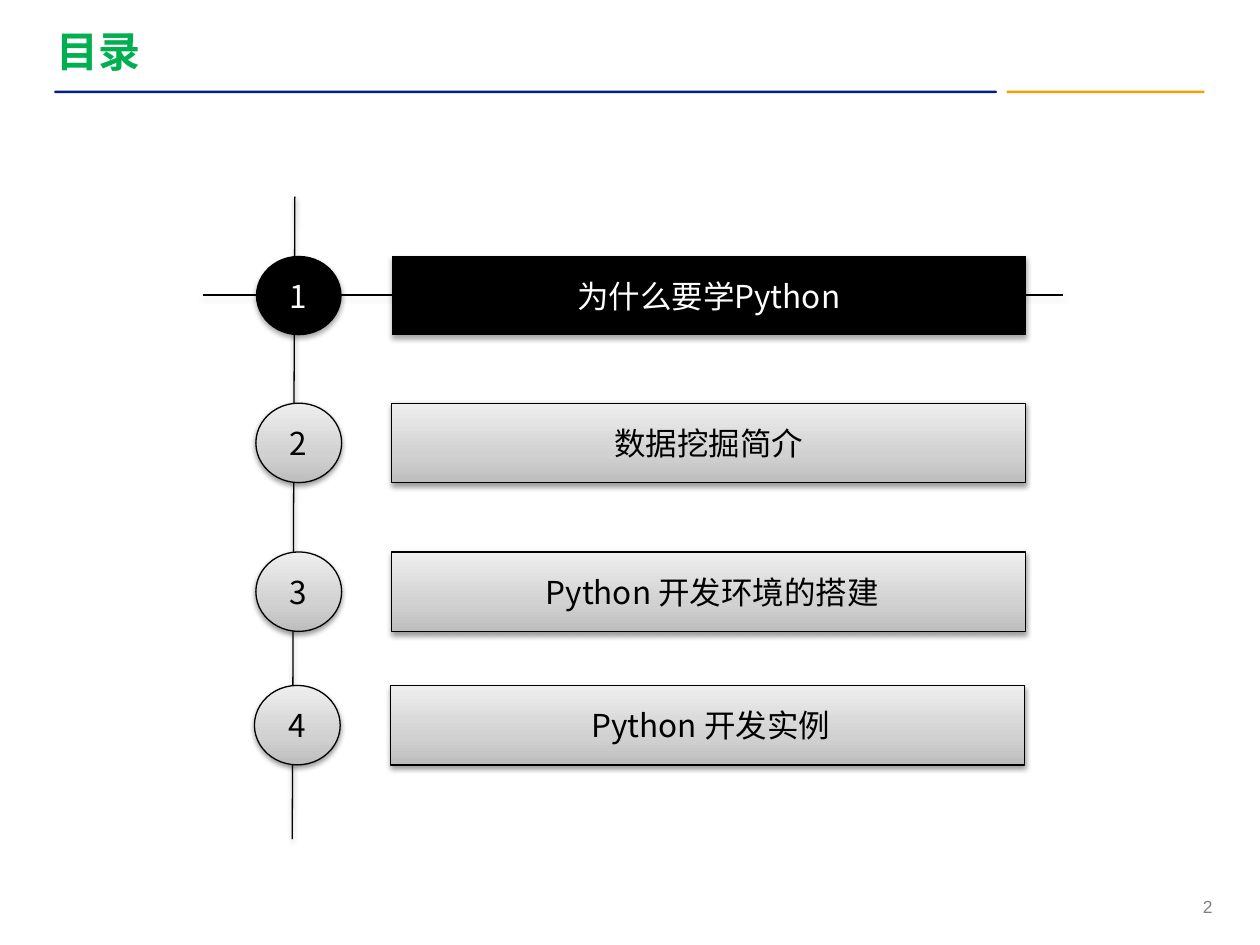
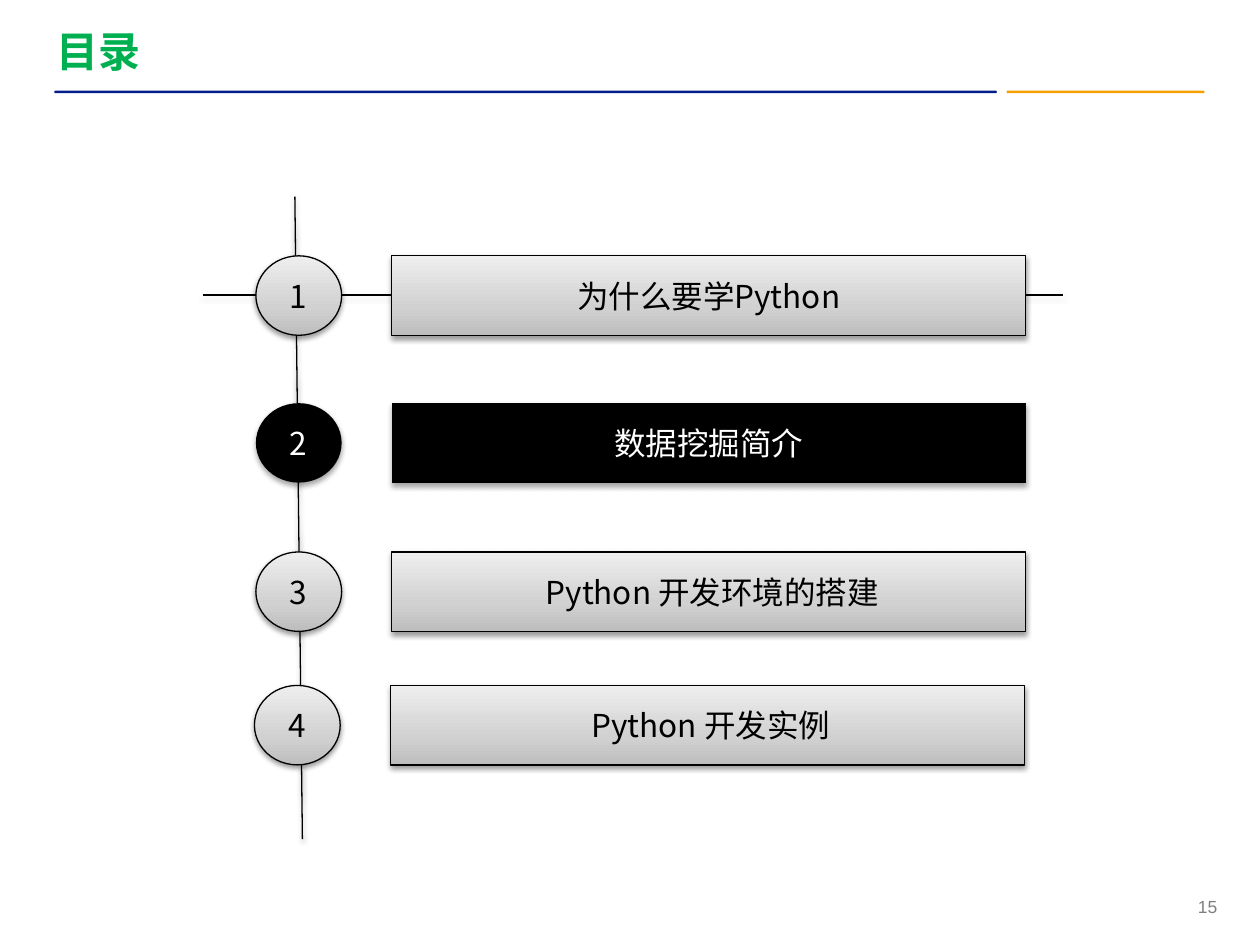
import copy

import pptx
import pptx.dml.color
import pptx.enum.shapes
import pptx.enum.text
import pptx.oxml
import pptx.oxml.ns
import pptx.util
from lxml import etree

Pt = pptx.util.Pt
SHAPES = pptx.enum.shapes.MSO_SHAPE
ALIGN = pptx.enum.text.PP_ALIGN
MIDDLE = pptx.enum.text.MSO_ANCHOR.MIDDLE
qn = pptx.oxml.ns.qn

TITLE = "目录"
CHAPTERS = [
    {"label": "为什么要学Python", "top": 146.2, "shift": 0},
    {"label": "数据挖掘简介", "top": 230.4, "shift": 0},
    {"label": " Python 开发环境的搭建", "top": 315.4, "shift": 0},
    {"label": " Python 开发实例", "top": 391.7, "shift": -0.8},
]
AGENDAS = [
    {"page": " 2", "current": 1, "spine_end": 167},
    {"page": " 15", "current": 2, "spine_end": 172.8},
]
RULES = [(575.3, 113, "F5A000", 0.36), (31, 538.6, "031D89", 0.5)]
RULE_TOP, RULE_HEIGHT = 51.8, 1.44
BADGE_LEFT, BADGE_WIDTH = 146.2, 49
BAR_LEFT, BAR_WIDTH = 223.9, 362.2
ROW_HEIGHT = 45.4
SPINE_X, SPINE_TOP, SPINE_BOTTOM = 168.5, 112.4, 479.5
CROSS_LEFT, CROSS_RIGHT, CROSS_Y = 116, 607.6, 168.5

BLACK, WHITE, GREEN, GREY = "000000", "FFFFFF", "00B050", "7F7F7F"
SILVER = [(0, "BDBDBD"), (0.35, "D1D1D1"), (1, "EEEEEE")]
CJK = "Noto Sans CJK SC"


def rgb(value):
    """Turn a hex string into a colour."""
    return pptx.dml.color.RGBColor.from_string(value)


def write(frame, text, size, color, latin, align, bold=False):
    """Set and format the only paragraph of a text frame."""
    frame.text = text
    paragraph = frame.paragraphs[0]
    paragraph.alignment = align
    for run in paragraph.runs:
        font = run.font
        font.size, font.bold, font.name = Pt(size), bold, latin
        font.color.rgb = rgb(color)
        east_asian = etree.SubElement(run._r.get_or_add_rPr(), qn("a:ea"))
        east_asian.set("typeface", CJK)


def cast_shadow(part, alpha=38, distance=1.6):
    """Give a shape or connector a soft shadow straight below it."""
    effects = etree.SubElement(part._element.spPr, qn("a:effectLst"))
    shadow = etree.SubElement(
        effects, qn("a:outerShdw"), blurRad=str(Pt(3.1)), dist=str(Pt(distance)),
        dir="5400000", rotWithShape="0")
    color = etree.SubElement(shadow, qn("a:srgbClr"), val=BLACK)
    etree.SubElement(color, qn("a:alpha"), val=str(alpha * 1000))


def fill_silver(shape):
    """Fill a shape with the vertical silver gradient."""
    shape.fill.gradient()
    shape.fill.gradient_angle = 90
    stops = shape._element.spPr.find(".//" + qn("a:gsLst"))
    stops.append(copy.deepcopy(stops[0]))
    for stop, (position, color) in zip(shape.fill.gradient_stops, SILVER):
        stop.position = position
        stop.color.rgb = rgb(color)


def add_axis(slide, x1, y1, x2, y2):
    """Draw one thin black line of the cross behind the chapters."""
    axis = slide.shapes.add_connector(
        pptx.enum.shapes.MSO_CONNECTOR.STRAIGHT, Pt(x1), Pt(y1), Pt(x2), Pt(y2))
    axis.line.color.rgb = rgb(BLACK)
    axis.line.width = Pt(0.75)
    cast_shadow(axis)


def add_button(slide, kind, left, top, width, text, is_current):
    """Add a badge or bar, black when its chapter is current."""
    button = slide.shapes.add_shape(kind, Pt(left), Pt(top), Pt(width), Pt(ROW_HEIGHT))
    if is_current:
        button.fill.solid()
        button.fill.fore_color.rgb = rgb(BLACK)
        button.line.fill.background()
        cast_shadow(button, 35, 1.8)
    else:
        fill_silver(button)
        button.line.color.rgb = rgb(BLACK)
        button.line.width = Pt(0.75)
        cast_shadow(button)
    frame = button.text_frame
    frame.word_wrap = False
    frame.vertical_anchor = MIDDLE
    write(frame, text, 18, WHITE if is_current else BLACK, CJK, ALIGN.CENTER)


def add_frame(slide, page):
    """Add the title, the two header rules and the page number."""
    for left, width, color, rounding in RULES:
        rule = slide.shapes.add_shape(
            SHAPES.ROUNDED_RECTANGLE, Pt(left), Pt(RULE_TOP), Pt(width), Pt(RULE_HEIGHT))
        rule.adjustments[0] = rounding
        rule.fill.solid()
        rule.fill.fore_color.rgb = rgb(color)
        rule.line.fill.background()
        rule.shadow.inherit = False
    number = slide.shapes.add_textbox(Pt(671.8), Pt(508.3), Pt(33.8), Pt(18))
    number.text_frame.word_wrap = True
    write(number.text_frame, page, 10, GREY, "Arial", ALIGN.CENTER)
    title = slide.shapes.title
    title.left, title.top, title.width, title.height = Pt(25.2), Pt(12.2), Pt(640.8), Pt(33.8)
    title.text_frame.vertical_anchor = MIDDLE
    title.text_frame.auto_size = pptx.enum.text.MSO_AUTO_SIZE.NONE
    write(title.text_frame, TITLE, 24, GREEN, "Arial", ALIGN.LEFT, bold=True)


def add_agenda(deck, page, current, spine_end):
    """Add an agenda slide with the current chapter in black."""
    slide = deck.slides.add_slide(deck.slide_layouts[5])
    add_frame(slide, page)
    add_axis(slide, SPINE_X, SPINE_TOP, spine_end, SPINE_BOTTOM)
    add_axis(slide, CROSS_LEFT, CROSS_Y, CROSS_RIGHT, CROSS_Y)
    for number, chapter in enumerate(CHAPTERS, 1):
        top, shift = chapter["top"], chapter["shift"]
        is_current = number == current
        add_button(slide, SHAPES.OVAL, BADGE_LEFT + shift, top, BADGE_WIDTH,
                   str(number), is_current)
        add_button(slide, SHAPES.ACTION_BUTTON_CUSTOM, BAR_LEFT + shift, top, BAR_WIDTH,
                   chapter["label"], is_current)


def main():
    """Build and save the agenda slides."""
    deck = pptx.Presentation()
    deck.slide_width, deck.slide_height = Pt(720), Pt(540)
    for agenda in AGENDAS:
        add_agenda(deck, **agenda)
    deck.save("out.pptx")


if __name__ == "__main__":
    main()
